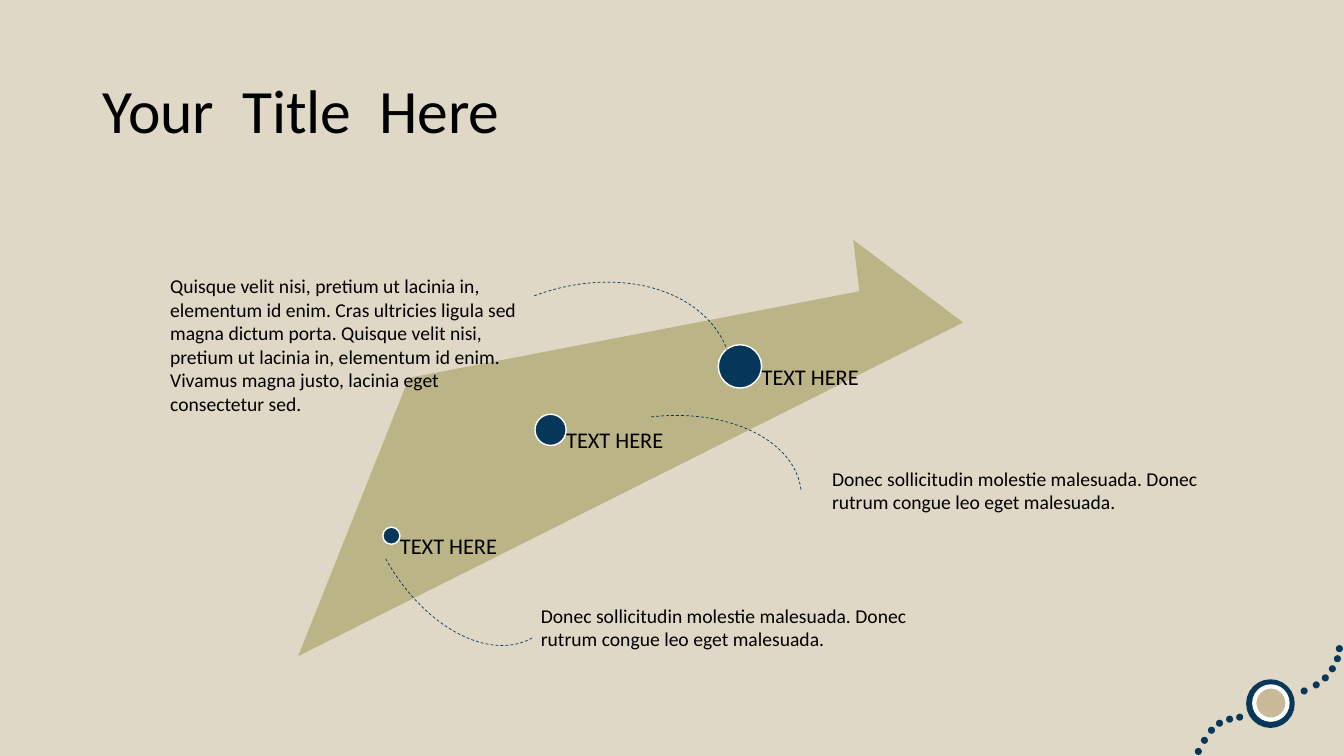
import pptx
import pptx.util
import pptx.dml.color
import pptx.enum.dml
import pptx.enum.shapes
import pptx.enum.text

PX = 9144
WIDTH, HEIGHT = 1334, 750
FONT = "Calibri"
COLOURS = {"background": "E0D8C6", "navy": "093759", "milestone": "063759",
           "arrow": "BBB487", "sand": "C8B998", "white": "FFFFFF", "text": "000000"}

TITLE = ("Your  Title  Here", (92, 40, 1150, 145))
DONEC = "Donec sollicitudin molestie malesuada. Donec rutrum congue leo eget malesuada."
NOTES = [
    ("Quisque velit nisi, pretium ut lacinia in, elementum id enim. Cras ultricies "
     "ligula sed magna dictum porta. Quisque velit nisi, pretium ut lacinia in, "
     "elementum id enim. Vivamus magna justo, lacinia eget consectetur sed.",
     (159, 267, 371, 150)),
    (DONEC, (527, 594, 402, 57)),
    (DONEC, (816, 458, 402, 57)),
]
ARROW = [(296, 651), (406, 375), (853, 289), (847, 238), (956, 320)]
ARROW_BOTTOM = 651
LABEL_WIDTH = 158
MILESTONES = [("TEXT HERE", 380, 523, 17), ("TEXT HERE", 531, 411, 31),
              ("TEXT HERE", 713, 342, 43)]
UPPER_RIGHT, LOWER_RIGHT = (-90, 0), (0, 90)
ARCS = [((411, 286, 321, 235), 339.5, UPPER_RIGHT),
        ((517, 413, 279, 178), 353.4, UPPER_RIGHT),
        ((321, 422, 279, 178), 61, LOWER_RIGHT)]
TRAIL_DOT = 7
TRAIL = [(1186, 742), (1192, 731), (1199, 721), (1207, 714), (1217, 710), (1227, 708),
         (1291, 682), (1303, 676), (1312, 669), (1319, 660), (1324, 650), (1326, 640)]
RINGS = [(1240, 677, 42, "white", "navy", 4.5), (1245, 681, 33, "sand", "white", 3)]


def rgb(name):
    return pptx.dml.color.RGBColor.from_string(COLOURS[name])


def emu(box):
    return [pptx.util.Emu(length * PX) for length in box]


def paint(shape, fill, line=None, line_pt=1):
    shape.shadow.inherit = False
    shape.fill.solid()
    shape.fill.fore_color.rgb = rgb(fill)
    if line:
        shape.line.color.rgb = rgb(line)
        shape.line.width = pptx.util.Pt(line_pt)
    else:
        shape.line.fill.background()


def add_circle(slide, left, top, size, fill, line=None, line_pt=1):
    circle = slide.shapes.add_shape(pptx.enum.shapes.MSO_SHAPE.OVAL,
                                    *emu((left, top, size, size)))
    paint(circle, fill, line, line_pt)


def write(frame, words, size, spacing=1.0):
    frame.word_wrap = True
    paragraph = frame.paragraphs[0]
    paragraph.alignment = pptx.enum.text.PP_ALIGN.LEFT
    paragraph.line_spacing = spacing
    run = paragraph.add_run()
    run.text = words
    run.font.name = FONT
    run.font.size = pptx.util.Pt(size)
    run.font.color.rgb = rgb("text")


def add_title(slide):
    words, box = TITLE
    title = slide.shapes.title
    title.left, title.top, title.width, title.height = emu(box)
    title.text_frame.vertical_anchor = pptx.enum.text.MSO_ANCHOR.MIDDLE
    title.text_frame.auto_size = pptx.enum.text.MSO_AUTO_SIZE.NONE
    write(title.text_frame, words, 44, 0.9)


def add_arrow(slide):
    builder = slide.shapes.build_freeform(*ARROW[0], scale=PX)
    builder.add_line_segments(ARROW[1:], close=True)
    paint(builder.convert_to_shape(), "arrow")


def add_milestone(slide, words, left, top, size):
    add_circle(slide, left, top, size, "milestone", "white")
    radius = size // 2
    label_top = top + radius
    box = (left + radius, label_top, LABEL_WIDTH, ARROW_BOTTOM - label_top)
    frame = slide.shapes.add_textbox(*emu(box)).text_frame
    frame.margin_left = pptx.util.Emu((radius + 1) * PX)
    frame.margin_top = frame.margin_right = frame.margin_bottom = 0
    write(frame, words, 16, 0.9)


def add_arc(slide, box, rotation, angles):
    arc = slide.shapes.add_shape(pptx.enum.shapes.MSO_SHAPE.ARC, *emu(box))
    arc.shadow.inherit = False
    for index, degrees in enumerate(angles):
        arc.adjustments[index] = degrees % 360 * 0.6
    arc.rotation = rotation
    arc.fill.background()
    arc.line.color.rgb = rgb("navy")
    arc.line.width = pptx.util.Pt(0.5)
    arc.line.dash_style = pptx.enum.dml.MSO_LINE.DASH


def add_note(slide, words, box):
    frame = slide.shapes.add_textbox(*emu(box)).text_frame
    write(frame, words, 14)
    frame.auto_size = pptx.enum.text.MSO_AUTO_SIZE.SHAPE_TO_FIT_TEXT


def main():
    deck = pptx.Presentation()
    deck.slide_width, deck.slide_height = emu((WIDTH, HEIGHT))
    slide = deck.slides.add_slide(deck.slide_layouts[5])
    slide.background.fill.solid()
    slide.background.fill.fore_color.rgb = rgb("background")

    for left, top in TRAIL:
        add_circle(slide, left, top, TRAIL_DOT, "navy")
    for ring in RINGS:
        add_circle(slide, *ring)
    add_title(slide)
    add_arrow(slide)
    for milestone in MILESTONES:
        add_milestone(slide, *milestone)
    for arc in ARCS:
        add_arc(slide, *arc)
    for note in NOTES:
        add_note(slide, *note)
    deck.save("out.pptx")


if __name__ == "__main__":
    main()
